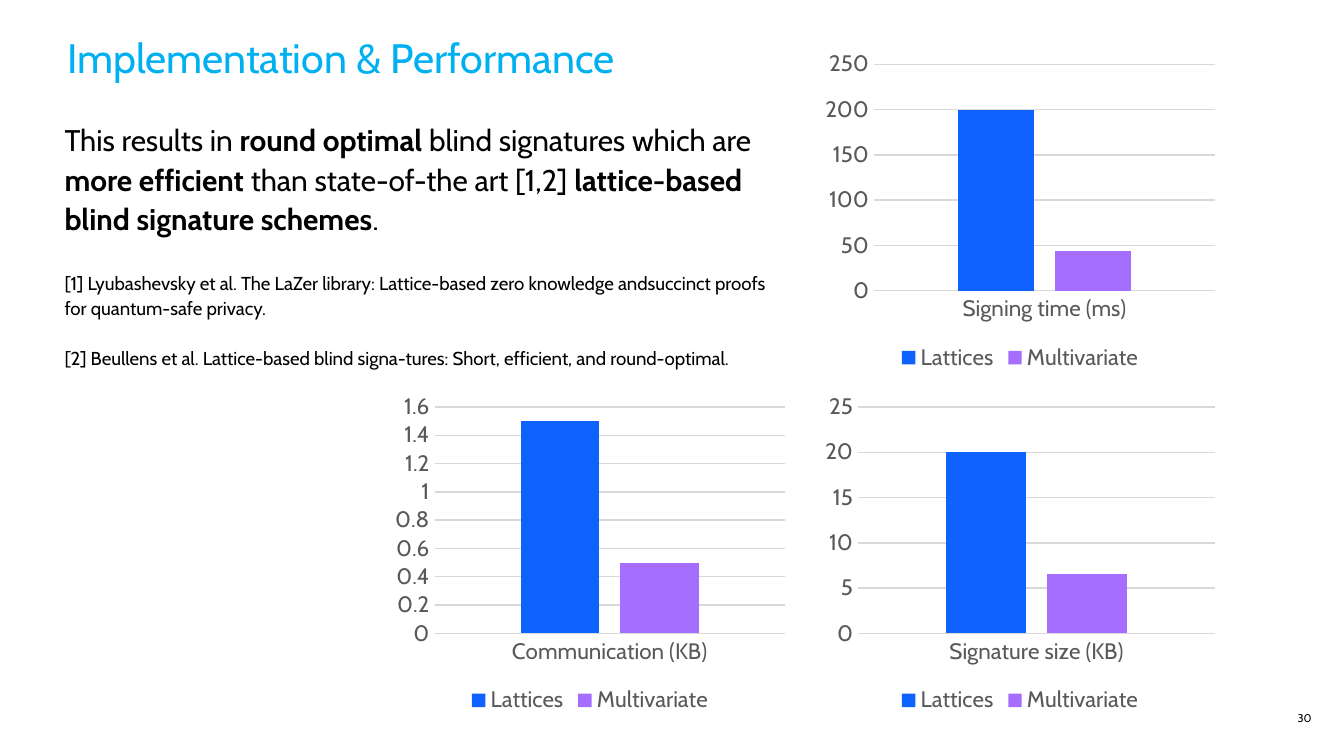
from dataclasses import dataclass

from pptx import Presentation
from pptx.chart.data import CategoryChartData
from pptx.dml.color import RGBColor
from pptx.enum.chart import XL_CHART_TYPE as ChartType
from pptx.enum.chart import XL_LEGEND_POSITION as LegendPosition
from pptx.enum.chart import XL_TICK_MARK as TickMark
from pptx.enum.text import MSO_ANCHOR as Anchor
from pptx.enum.text import MSO_AUTO_SIZE as AutoSize
from pptx.enum.text import PP_ALIGN as Align
from pptx.oxml.ns import qn
from pptx.util import Inches, Pt

FONT = "Cabin"
BLACK = "000000"
CYAN = "00B0F0"
GRAY = "595959"
GRID = "D9D9D9"
SERIES_COLORS = {"Lattices": "0F62FE", "Multivariate": "A56EFF"}
SLIDE_WIDTH = Inches(10)
SLIDE_HEIGHT = SLIDE_WIDTH * 9 // 16
CHART_WIDTH, CHART_HEIGHT = 3.02, 2.47


@dataclass(frozen=True)
class Comparison:
    category: str
    left: float
    top: float
    values: tuple[float, float]
    maximum: float
    step: float


COMPARISONS = (
    Comparison("Signing time (ms)", 6.08, 0.33, (200, 44), 250, 50),
    Comparison("Signature size (KB)", 6.08, 2.88, (20, 6.5), 25, 5),
    Comparison("Communication (KB)", 2.88, 2.88, (1.5, 0.5), 1.6, 0.2),
)

STATEMENT = (
    ("This results in ", False),
    ("round optimal ", True),
    ("blind signatures which are ", False),
    ("more efficient ", True),
    ("than state-of-the art [1,2] ", False),
    ("lattice-based blind signature schemes", True),
    (".", False),
)
REFERENCES = (
    "[1] Lyubashevsky et al. The LaZer library: Lattice-based zero knowledge "
    "andsuccinct proofs for quantum-safe privacy.",
    "[2] Beullens et al. Lattice-based blind signa-tures: Short, efficient, and round-optimal.",
)


def rgb(color: str) -> RGBColor:
    return RGBColor.from_string(color)


def format_font(font, size: float, color: str, bold: bool = False) -> None:
    font.name = FONT
    font.size = Pt(size)
    font.bold = bold
    font.color.rgb = rgb(color)


def place_text(shape, left: float, top: float, width: float, height: float,
               anchor=Anchor.TOP):
    shape.left, shape.top = Inches(left), Inches(top)
    shape.width, shape.height = Inches(width), Inches(height)
    frame = shape.text_frame
    frame.margin_left = frame.margin_right = frame.margin_top = frame.margin_bottom = 0
    frame.word_wrap = True
    frame.auto_size = AutoSize.NONE
    frame.vertical_anchor = anchor
    return frame


def write_text(paragraph, runs, *, size: float, color: str = BLACK, align=Align.LEFT,
               line_spacing: float = 1.0, space_before: float = 0) -> None:
    properties = paragraph._p.get_or_add_pPr()
    properties.set("marL", "0")
    properties.set("indent", "0")
    properties.append(properties.makeelement(qn("a:buNone"), {}))
    paragraph.alignment = align
    paragraph.line_spacing = line_spacing
    paragraph.space_before = Pt(space_before)
    paragraph.space_after = Pt(0)
    for text, bold in runs:
        run = paragraph.add_run()
        run.text = text
        format_font(run.font, size, color, bold)


def add_comparison(slide, comparison: Comparison) -> None:
    data = CategoryChartData()
    data.categories = [comparison.category]
    for name, value in zip(SERIES_COLORS, comparison.values):
        data.add_series(name, [value])
    chart = slide.shapes.add_chart(
        ChartType.COLUMN_CLUSTERED, Inches(comparison.left), Inches(comparison.top),
        Inches(CHART_WIDTH), Inches(CHART_HEIGHT), data).chart
    format_font(chart.font, 10, BLACK)
    chart.has_title = False
    chart.has_legend = True
    chart.legend.position = LegendPosition.BOTTOM
    chart.legend.include_in_layout = False
    format_font(chart.legend.font, 12, GRAY)

    plot = chart.plots[0]
    plot.gap_width = 219
    plot.overlap = -27
    plot.vary_by_categories = False
    for series in plot.series:
        series.format.fill.solid()
        series.format.fill.fore_color.rgb = rgb(SERIES_COLORS[series.name])

    for axis in (chart.category_axis, chart.value_axis):
        axis.major_tick_mark = axis.minor_tick_mark = TickMark.NONE
        format_font(axis.tick_labels.font, 12, GRAY)
    value_axis = chart.value_axis
    value_axis.minimum_scale = 0
    value_axis.maximum_scale = comparison.maximum
    value_axis.major_unit = comparison.step
    value_axis.has_major_gridlines = True
    value_axis.format.line.fill.background()
    for line in (chart.category_axis.format.line, value_axis.major_gridlines.format.line):
        line.color.rgb = rgb(GRID)
        line.width = Pt(0.75)


def main() -> None:
    presentation = Presentation()
    presentation.slide_width, presentation.slide_height = SLIDE_WIDTH, SLIDE_HEIGHT
    slide = presentation.slides.add_slide(presentation.slide_layouts[1])

    title = place_text(slide.shapes.title, 0.5, 0.28, 9.26, 1.09)
    write_text(title.paragraphs[0], [("Implementation & Performance", False)],
               size=22, color=CYAN, line_spacing=0.9)

    body = place_text(slide.placeholders[1], 0.48, 0.88, 5.37, 1.92)
    write_text(body.paragraphs[0], STATEMENT, size=16, line_spacing=1.1)
    for reference, gap in zip(REFERENCES, (18, 13.4)):
        write_text(body.add_paragraph(), [(reference, False)], size=10,
                   line_spacing=1.1, space_before=gap)

    number_box = slide.shapes.add_textbox(0, 0, 0, 0)
    number = place_text(number_box, 9.46, 5.29, 0.3, 0.1, Anchor.MIDDLE)
    write_text(number.paragraphs[0], [("30", False)], size=6, align=Align.RIGHT)

    for comparison in COMPARISONS:
        add_comparison(slide, comparison)

    presentation.save("out.pptx")


if __name__ == "__main__":
    main()
